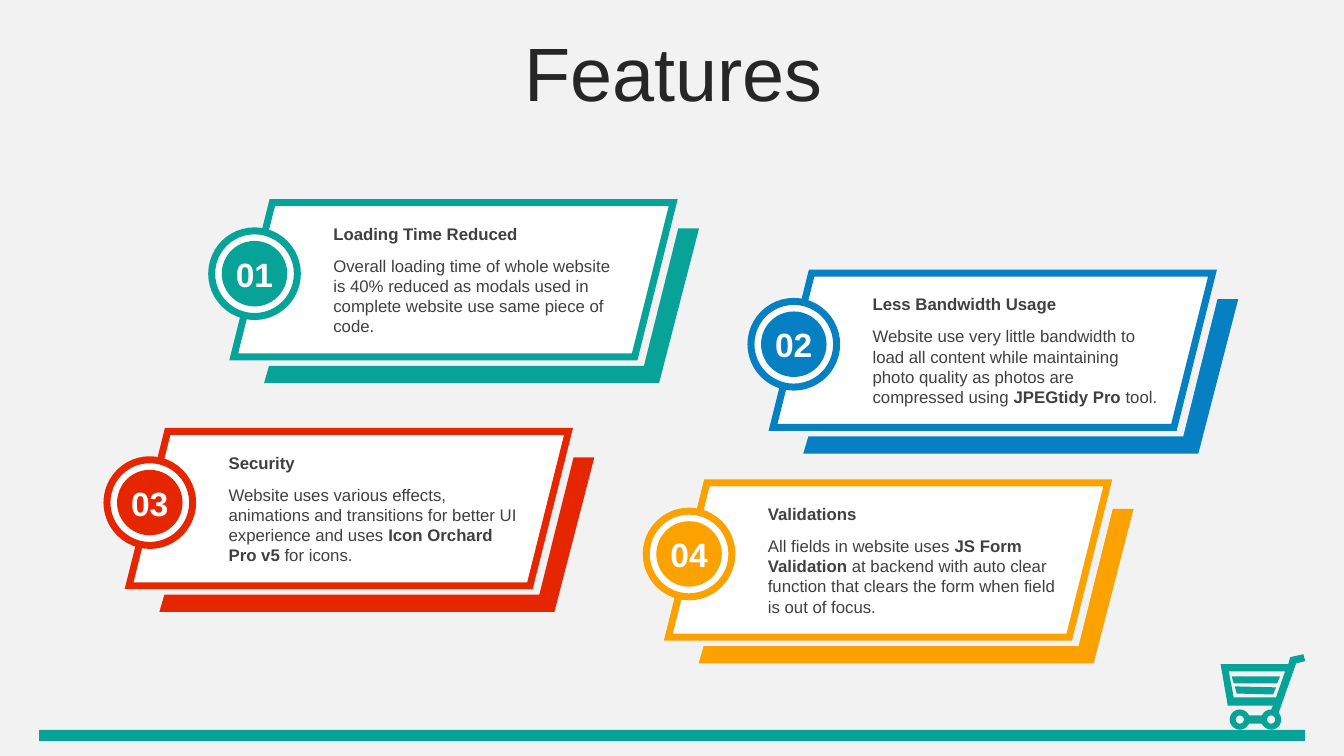
"""Build the Features slide: four numbered cards above a shopping cart on a ground line."""
from dataclasses import dataclass
from math import cos, radians, sin

from lxml.etree import SubElement
from pptx import Presentation
from pptx.dml.color import RGBColor
from pptx.enum.shapes import MSO_SHAPE
from pptx.enum.text import MSO_ANCHOR, MSO_AUTO_SIZE, PP_ALIGN
from pptx.oxml.ns import qn
from pptx.shapes.autoshape import Shape
from pptx.slide import Slide
from pptx.text.text import Font
from pptx.util import Pt

Point = tuple[float, float]
Contour = list[Point]


@dataclass(frozen=True)
class Theme:
    """Colours, font and type sizes of the slide."""
    background: str = "F2F2F2"
    white: str = "FFFFFF"
    title: str = "262626"
    text: str = "404040"
    teal: str = "07A398"
    blue: str = "0680C3"
    red: str = "E62601"
    orange: str = "FBA200"
    font: str = "Arial"
    title_size: float = 54
    number_size: float = 24
    text_size: float = 12
    border: float = 5


@dataclass(frozen=True)
class Span:
    """A stretch of text in one weight."""
    text: str
    bold: bool = False


@dataclass(frozen=True)
class Card:
    """A numbered feature, placed by the corner of its panel."""
    number: str
    left: float
    top: float
    colour: str
    heading: str
    body: tuple[Span, ...]


THEME = Theme()

CARDS = (
    Card("01", 167, 144.7, THEME.teal, "Loading Time Reduced", (
        Span("Overall loading time of whole website is 40% reduced as modals used in "
             "complete website use same piece of code."),)),
    Card("02", 552.2, 195.1, THEME.blue, "Less Bandwidth Usage", (
        Span("Website use very little bandwidth to load all content while maintaining "
             "photo quality as photos are compressed using "),
        Span("JPEGtidy Pro", True), Span(" tool."))),
    Card("03", 92.2, 308.2, THEME.red, "Security", (
        Span("Website uses various effects, animations and transitions for better UI "
             "experience and uses "),
        Span("Icon Orchard Pro v5", True), Span(" for icons."))),
    Card("04", 477.4, 344.9, THEME.orange, "Validations", (
        Span("All fields in website uses "), Span("JS Form Validation ", True),
        Span("at backend with auto clear function that clears the form when field "
             "is out of focus."))),
)

CARD_EDGE: Contour = [(317.5, 18.5), (332.3, 18.5), (303.8, 128.9),
                      (21.6, 128.9), (25.2, 116.6), (293, 116.6)]
REAR_WHEEL: Point = (885.6, 514)
FRONT_WHEEL: Point = (908, 514)
WHEEL_RADIUS = 7.2
HUB_RADIUS = 2.9


def style_font(font: Font, size: float, colour: str, bold: bool = False) -> None:
    """Set the type of one run."""
    font.name = THEME.font
    font.size = Pt(size)
    font.bold = bold
    font.color.rgb = RGBColor.from_string(colour)


def paint(shape: Shape, fill: str, line: str | None = None) -> None:
    """Give a shape a flat fill and an optional mitred border."""
    shape.shadow.inherit = False
    shape.fill.solid()
    shape.fill.fore_color.rgb = RGBColor.from_string(fill)
    if line is None:
        shape.line.fill.background()
        return
    shape.line.width = Pt(THEME.border)
    shape.line.color.rgb = RGBColor.from_string(line)
    SubElement(shape.element.spPr.find(qn("a:ln")), qn("a:miter"), lim="800000")


def add_box(page: Slide, kind: MSO_SHAPE, left: float, top: float, width: float,
            height: float, fill: str, line: str | None = None) -> Shape:
    """Draw a preset shape."""
    box = page.shapes.add_shape(kind, Pt(left), Pt(top), Pt(width), Pt(height))
    paint(box, fill, line)
    return box


def add_outline(page: Slide, contours: list[Contour], fill: str) -> None:
    """Draw closed contours as one filled shape."""
    first, *others = [[(Pt(x), Pt(y)) for x, y in contour] for contour in contours]
    builder = page.shapes.build_freeform(*first[0])
    builder.add_line_segments(first[1:], close=True)
    for contour in others:
        builder.move_to(*contour[0])
        builder.add_line_segments(contour[1:], close=True)
    paint(builder.convert_to_shape(), fill)


def add_text(page: Slide, left: float, top: float, height: float,
             spans: tuple[Span, ...], anchor: MSO_ANCHOR) -> None:
    """Write one paragraph of card text."""
    box = page.shapes.add_textbox(Pt(left), Pt(top), Pt(221.8), Pt(height))
    frame = box.text_frame
    frame.word_wrap = True
    frame.vertical_anchor = anchor
    for part in spans:
        span = frame.paragraphs[0].add_run()
        span.text = part.text
        style_font(span.font, THEME.text_size, THEME.text, part.bold)


def add_card(page: Slide, card: Card) -> None:
    """Draw a panel with its edge, texts and numbered badge."""
    left, top = card.left, card.top
    add_box(page, MSO_SHAPE.PARALLELOGRAM, left, top, 313.9, 110.2,
            THEME.white, card.colour)
    add_outline(page, [[(left + x, top + y) for x, y in CARD_EDGE]], card.colour)
    add_text(page, left + 64, top + 34.3, 65.4, card.body, MSO_ANCHOR.TOP)
    add_text(page, left + 64, top + 11.3, 21.8, (Span(card.heading, True),),
             MSO_ANCHOR.MIDDLE)
    add_box(page, MSO_SHAPE.OVAL, left - 15.8, top + 20.2, 61.2, 61.2,
            THEME.white, card.colour)
    badge = add_box(page, MSO_SHAPE.OVAL, left - 8.6, top + 27.4, 46.8, 46.8, card.colour)
    frame = badge.text_frame
    frame.margin_left = frame.margin_right = frame.margin_top = frame.margin_bottom = 0
    frame.word_wrap = False
    frame.vertical_anchor = MSO_ANCHOR.MIDDLE
    frame.text = card.number
    frame.paragraphs[0].alignment = PP_ALIGN.CENTER
    style_font(frame.paragraphs[0].runs[0].font, THEME.number_size, THEME.white, True)


def arc(centre: Point, radius: float, start: int, end: int) -> Contour:
    """Return points along an arc, by falling angle in degrees."""
    return [(centre[0] + radius * cos(radians(angle)), centre[1] + radius * sin(radians(angle)))
            for angle in range(start, end - 1, -6)]


def add_cart(page: Slide) -> None:
    """Draw the shopping cart."""
    outline = [(931, 467.3), (921.6, 469.4), (920.2, 474.5), (871.9, 474.5),
               (877, 504), (909.4, 504),
               *arc(FRONT_WHEEL, WHEEL_RADIUS, 270, 204),
               *arc(REAR_WHEEL, WHEEL_RADIUS, 336, 24),
               *arc(FRONT_WHEEL, WHEEL_RADIUS, 156, -42),
               (925.9, 473.8), (932.4, 472.3)]
    basket = [(918, 479.5), (911.5, 498.2), (881.3, 498.2), (877.7, 479.5)]
    upper_slat = [(879.8, 483.1), (881.3, 488.2), (912.2, 488.2), (914.4, 483.1)]
    lower_slat = [(882, 490.3), (883.4, 495.4), (909.4, 496.1), (911.5, 491)]
    hubs = [arc(wheel, HUB_RADIUS, 360, 6) for wheel in (REAR_WHEEL, FRONT_WHEEL)]
    add_outline(page, [outline, basket, upper_slat, lower_slat, *hubs], THEME.teal)


def add_title(page: Slide, text: str) -> None:
    """Fill and place the title placeholder."""
    title = page.shapes.title
    title.left, title.top, title.width, title.height = Pt(25.2), Pt(26.6), Pt(911.5), Pt(56.9)
    frame = title.text_frame
    frame.text = text
    frame.auto_size = MSO_AUTO_SIZE.NONE
    frame.vertical_anchor = MSO_ANCHOR.MIDDLE
    paragraph = frame.paragraphs[0]
    paragraph.alignment = PP_ALIGN.CENTER
    paragraph.line_spacing = 0.9
    paragraph.space_before = Pt(10)
    style_font(paragraph.runs[0].font, THEME.title_size, THEME.title)


def main() -> None:
    """Build and save the deck."""
    deck = Presentation()
    deck.slide_width, deck.slide_height = Pt(960), Pt(540)
    page = deck.slides.add_slide(deck.slide_layouts.get_by_name("Title Only"))
    page.background.fill.solid()
    page.background.fill.fore_color.rgb = RGBColor.from_string(THEME.background)
    add_cart(page)
    add_box(page, MSO_SHAPE.RECTANGLE, 28, 521.3, 904.3, 7.9, THEME.teal)
    add_title(page, "Features")
    for card in CARDS:
        add_card(page, card)
    deck.save("out.pptx")


if __name__ == "__main__":
    main()
